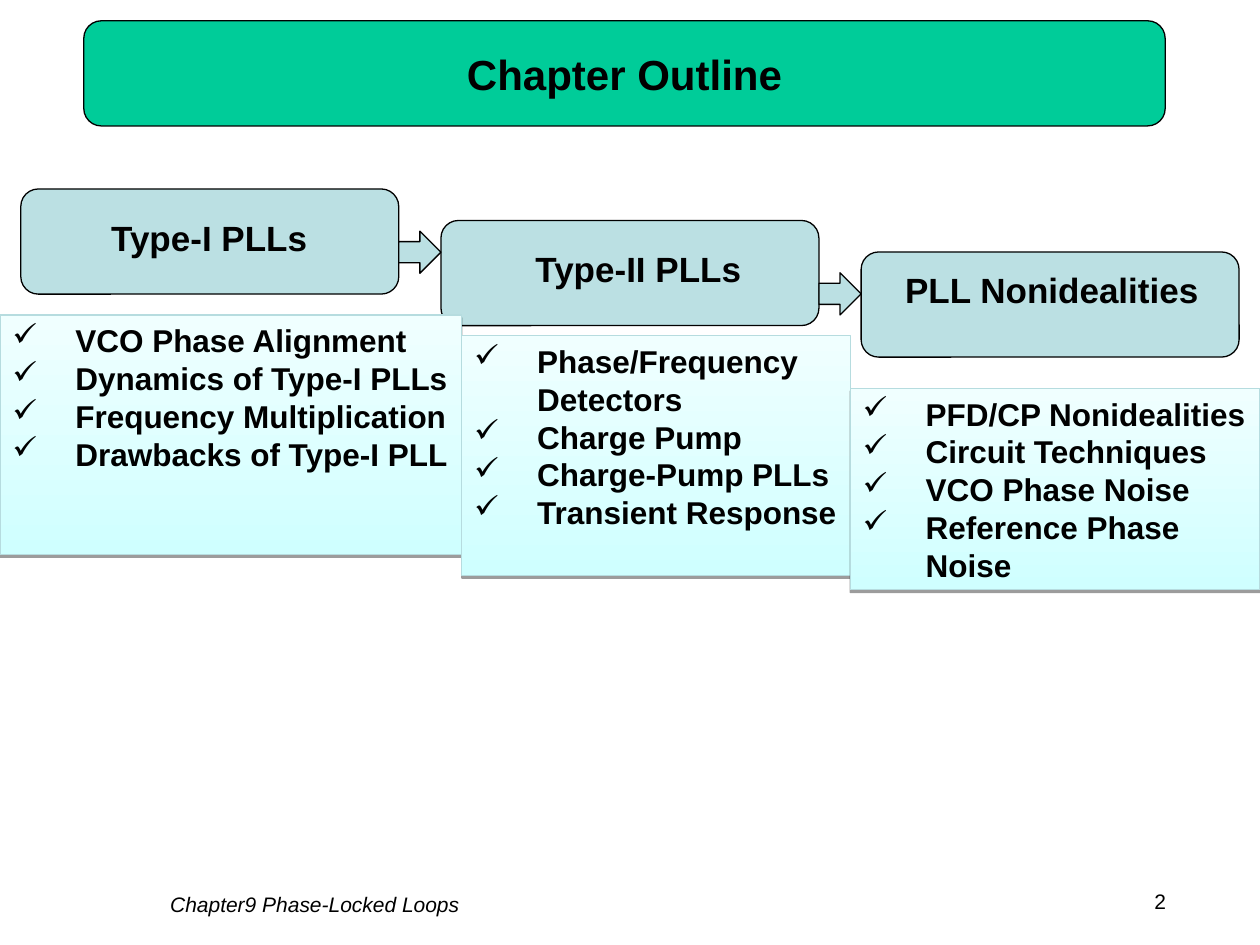
from dataclasses import dataclass

from lxml import etree
from pptx import Presentation
from pptx import util as u
from pptx.dml.color import RGBColor
from pptx.enum import shapes, text
from pptx.oxml import ns

Cm = u.Cm
BLACK = RGBColor(0x00, 0x00, 0x00)
GREEN = RGBColor(0x00, 0xCC, 0x99)
PALE_BLUE = RGBColor(0xBB, 0xE0, 0xE3)
PANEL_EDGE = RGBColor(0xB6, 0xDC, 0xDF)
PANEL_BOTTOM = RGBColor(0xCF, 0xFF, 0xFF)
PANEL_TOP = RGBColor(0xF0, 0xFF, 0xFF)
FONT = "Arial"
HEADER_LEFT, HEADER_TOP = 0.42, 3.81
HEADER_STEP_X, HEADER_STEP_Y = 8.47, 0.635
HEADER_WIDTH, HEADER_HEIGHT = 7.62, 2.12
ARROW_SIZE = 0.85


@dataclass(frozen=True)
class Area:
    left: float
    top: float
    width: float
    height: float

    def lengths(self) -> tuple:
        return Cm(self.left), Cm(self.top), Cm(self.width), Cm(self.height)


@dataclass(frozen=True)
class Topic:
    title: str
    label: Area
    panel: Area
    items: tuple


TOPICS = (
    Topic("Type-I PLLs", Area(1.96, 4.23, 4.52, 1.12), Area(0, 6.35, 9.31, 4.83),
          ("VCO Phase Alignment", "Dynamics of Type-I PLLs",
           "Frequency Multiplication", "Drawbacks of Type-I PLL")),
    Topic("Type-II PLLs", Area(10.52, 4.87, 4.7, 1.12), Area(9.31, 6.77, 7.83, 4.83),
          ("Phase/Frequency Detectors", "Charge Pump",
           "Charge-Pump PLLs", "Transient Response")),
    Topic("PLL Nonidealities", Area(17.99, 5.29, 6.43, 1.12), Area(17.14, 7.83, 8.26, 4.06),
          ("PFD/CP Nonidealities", "Circuit Techniques",
           "VCO Phase Noise", "Reference Phase Noise")),
)
ARROWS = (Area(8.04, 4.66, ARROW_SIZE, ARROW_SIZE), Area(16.51, 5.5, ARROW_SIZE, ARROW_SIZE))


def add_box(parent, kind: shapes.MSO_SHAPE, area: Area, fill: RGBColor):
    box = parent.add_shape(kind, *area.lengths())
    box.shadow.inherit = False
    box.fill.solid()
    box.fill.fore_color.rgb = fill
    box.line.color.rgb = BLACK
    box.line.width = u.Pt(0.75)
    return box


def write(para, words: str, size: int, align=text.PP_ALIGN.CENTER, bold=False, italic=False) -> None:
    para.text = words
    para.alignment = align
    font = para.font
    font.name, font.size, font.bold, font.italic = FONT, u.Pt(size), bold, italic
    font.color.rgb = BLACK


def add_label(parent, words: str, area: Area, size: int, wrap=True, bold=False, italic=False) -> None:
    frame = parent.add_textbox(*area.lengths()).text_frame
    frame.word_wrap = wrap
    write(frame.paragraphs[0], words, size, bold=bold, italic=italic)


def add_check_bullet(para) -> None:
    properties = para._p.get_or_add_pPr()
    properties.set("marL", str(Cm(1.27)))
    properties.set("indent", str(-Cm(1.27)))
    color = etree.SubElement(properties, ns.qn("a:buClr"))
    etree.SubElement(color, ns.qn("a:srgbClr"), val=str(BLACK))
    etree.SubElement(properties, ns.qn("a:buChar"), char="✓")


def add_drop_shadow(box) -> None:
    effects = box._element.spPr.find(ns.qn("a:effectLst"))
    shadow = etree.SubElement(effects, ns.qn("a:outerShdw"), blurRad="0",
                              dist=str(u.Pt(1.6)), dir="5400000", rotWithShape="0")
    color = etree.SubElement(shadow, ns.qn("a:srgbClr"), val=str(BLACK))
    etree.SubElement(color, ns.qn("a:alpha"), val="38000")


def add_header(page, index: int, topic: Topic) -> None:
    group = page.shapes.add_group_shape()
    area = Area(HEADER_LEFT + index * HEADER_STEP_X, HEADER_TOP + index * HEADER_STEP_Y,
                HEADER_WIDTH, HEADER_HEIGHT)
    add_box(group.shapes, shapes.MSO_SHAPE.ROUNDED_RECTANGLE, area, PALE_BLUE)
    add_label(group.shapes, topic.title, topic.label, 20, wrap=False, bold=True)


def add_panel(page, topic: Topic) -> None:
    box = add_box(page.shapes, shapes.MSO_SHAPE.RECTANGLE, topic.panel, PANEL_TOP)
    box.fill.gradient()
    box.fill.gradient_angle = 90
    for stop, color in zip(box.fill.gradient_stops, (PANEL_BOTTOM, PANEL_TOP)):
        stop.color.rgb = color
    box.line.color.rgb = PANEL_EDGE
    add_drop_shadow(box)
    frame = box.text_frame
    frame.word_wrap = True
    frame.vertical_anchor = text.MSO_ANCHOR.TOP
    for index, item in enumerate(topic.items):
        para = frame.add_paragraph() if index else frame.paragraphs[0]
        add_check_bullet(para)
        write(para, item, 18, align=text.PP_ALIGN.LEFT, bold=True)


def main() -> None:
    """Build the chapter outline slide."""
    deck = Presentation()
    deck.slide_width, deck.slide_height = Cm(25.4), Cm(19.05)
    page = deck.slides.add_slide(deck.slide_layouts[6])

    banner = add_box(page.shapes, shapes.MSO_SHAPE.ROUNDED_RECTANGLE,
                     Area(1.69, 0.42, 21.8, 2.12), GREEN)
    banner.text_frame.vertical_anchor = text.MSO_ANCHOR.MIDDLE
    write(banner.text_frame.paragraphs[0], "Chapter Outline", 24, bold=True)
    add_label(page.shapes, "Chapter9 Phase-Locked Loops", Area(0.21, 17.85, 12.28, 0.76), 12, italic=True)
    add_label(page.shapes, "2", Area(21.38, 17.78, 4.02, 0.76), 12)

    for index, topic in enumerate(TOPICS):
        add_header(page, index, topic)
    for arrow in ARROWS:
        add_box(page.shapes, shapes.MSO_SHAPE.RIGHT_ARROW, arrow, PALE_BLUE)
    for topic in TOPICS:
        add_panel(page, topic)
    deck.save("out.pptx")


if __name__ == "__main__":
    main()
